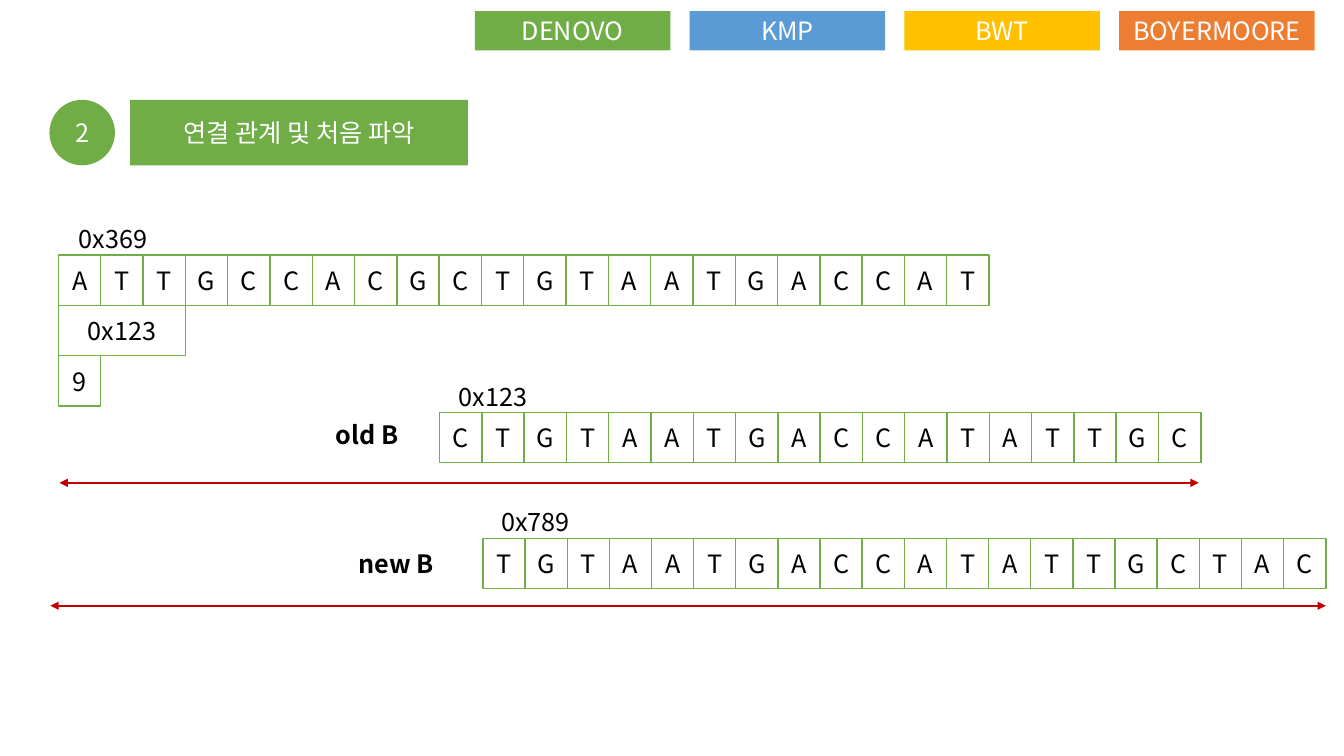
from dataclasses import dataclass

from lxml.etree import SubElement
from pptx import Presentation
from pptx.dml.color import RGBColor
from pptx.enum.shapes import MSO_CONNECTOR, MSO_SHAPE
from pptx.enum.text import MSO_ANCHOR, MSO_AUTO_SIZE, PP_ALIGN
from pptx.oxml import parse_xml
from pptx.oxml.ns import nsdecls, qn
from pptx.util import Inches, Pt


@dataclass(frozen=True)
class Theme:
    font: str = "Noto Sans CJK KR"
    size: int = 18
    green: str = "70AD47"
    blue: str = "5B9BD5"
    yellow: str = "FFC000"
    orange: str = "ED7D31"
    red: str = "C00000"
    black: str = "000000"
    white: str = "FFFFFF"
    cell_line: float = 1
    arrow_line: float = 1.5


THEME = Theme()
CELL_WIDTH, CELL_HEIGHT = 0.42, 0.5


def rgb(value):
    return RGBColor.from_string(value)


def write(shape, text, color=THEME.black, bold=False,
          align=PP_ALIGN.CENTER, anchor=MSO_ANCHOR.MIDDLE):
    frame = shape.text_frame
    frame.word_wrap = True
    frame.auto_size = MSO_AUTO_SIZE.NONE
    frame.vertical_anchor = anchor
    para = frame.paragraphs[0]
    para.alignment = align
    span = para.add_run()
    span.text = text
    span.font.size = Pt(THEME.size)
    span.font.bold = bold
    span.font.color.rgb = rgb(color)
    span.font.name = THEME.font
    # Hangul takes the East Asian typeface
    SubElement(span.font._element, qn("a:ea")).set("typeface", THEME.font)


def add_box(shapes, kind, at, text, fill=None, line=None, color=THEME.white):
    box = shapes.add_shape(kind, *map(Inches, at))
    box.shadow.inherit = False
    if fill:
        box.fill.solid()
        box.fill.fore_color.rgb = rgb(fill)
    else:
        box.fill.background()
    if line:
        box.line.color.rgb = rgb(line)
        box.line.width = Pt(THEME.cell_line)
    else:
        box.line.fill.background()
    write(box, text, color=color)


def add_cell(shapes, left, top, text, width=CELL_WIDTH, fill=None):
    add_box(shapes, MSO_SHAPE.RECTANGLE, (left, top, width, CELL_HEIGHT), text,
            fill=fill, line=THEME.green, color=THEME.black)


def add_sequence(shapes, bases, first, last, top, open_cells):
    """Spread one cell per base between the first and last left edges."""
    pitch = (last - first) / (len(bases) - 1)
    for index, base in enumerate(bases):
        fill = None if index < open_cells else THEME.white
        add_cell(shapes, first + index * pitch, top, base, fill=fill)


def add_label(shapes, at, text, **text_format):
    label = shapes.add_textbox(*map(Inches, at))
    write(label, text, **text_format)


def add_span_arrow(shapes, start, end, top):
    arrow = shapes.add_connector(MSO_CONNECTOR.STRAIGHT, Inches(start), Inches(top),
                                 Inches(end), Inches(top))
    arrow.line.color.rgb = rgb(THEME.red)
    arrow.line.width = Pt(THEME.arrow_line)
    properties = arrow._element.spPr
    for tag in ("a:headEnd", "a:tailEnd"):
        SubElement(properties.find(qn("a:ln")), qn(tag)).set("type", "triangle")
    SubElement(properties, qn("a:effectLst"))


def place_title(page, at, text):
    title = page.shapes.title
    title.left, title.top, title.width, title.height = map(Inches, at)
    # Cut two opposite corners of the title banner
    title._element.spPr.find(qn("a:xfrm")).addnext(parse_xml(
        f'<a:prstGeom {nsdecls("a")} prst="snip2DiagRect"><a:avLst/></a:prstGeom>'))
    title.fill.solid()
    title.fill.fore_color.rgb = rgb(THEME.green)
    write(title, text, color=THEME.white)


def main():
    deck = Presentation()
    deck.slide_width, deck.slide_height = Inches(13.33), Inches(7.5)
    page = deck.slides.add_slide(deck.slide_layouts[5])
    shapes = page.shapes

    # Algorithm tabs
    tabs = (("DENOVO", THEME.green), ("KMP", THEME.blue),
            ("BWT", THEME.yellow), ("BOYERMOORE", THEME.orange))
    for index, (name, color) in enumerate(tabs):
        add_box(shapes, MSO_SHAPE.RECTANGLE, (4.71 + index * 2.13, 0.11, 1.94, 0.39),
                name, fill=color)

    # Heading
    add_box(shapes, MSO_SHAPE.OVAL, (0.49, 0.99, 0.65, 0.65), "2", fill=THEME.green)
    place_title(page, (1.29, 0.99, 3.35, 0.65), "연결 관계 및 처음 파악")

    # First sequence with its link and overlap length
    add_sequence(shapes, "ATTGCCACGCTGTAATGACCAT", 0.58, 9.39, 2.53, open_cells=12)
    add_label(shapes, (0.59, 2.21, 1.06, 0.32), "0x369")
    add_cell(shapes, 0.58, 2.53 + CELL_HEIGHT, "0x123", width=3 * CELL_WIDTH)
    add_cell(shapes, 0.58, 2.53 + 2 * CELL_HEIGHT, "9")

    # Old and new candidates for B
    old_group = shapes.add_group_shape().shapes
    add_sequence(old_group, "CTGTAATGACCATATTGC", 4.36, 11.49, 4.09, open_cells=5)
    add_label(old_group, (4.36, 3.77, 1.06, 0.32), "0x123")
    new_group = shapes.add_group_shape().shapes
    add_sequence(new_group, "TGTAATGACCATATTGCTAC", 4.79, 12.73, 5.34, open_cells=4)
    add_label(new_group, (4.78, 5.03, 1.06, 0.28), "0x789")
    for left, top, name in ((3.23, 4.11, "old B"), (3.46, 5.39, "new B")):
        add_label(shapes, (left, top, 1.26, 0.4), name, bold=True,
                  align=PP_ALIGN.LEFT, anchor=MSO_ANCHOR.TOP)

    # Total lengths after joining
    add_span_arrow(shapes, 0.59, 11.89, 4.79)
    add_span_arrow(shapes, 0.5, 13.15, 6.01)

    deck.save("out.pptx")


if __name__ == "__main__":
    main()
